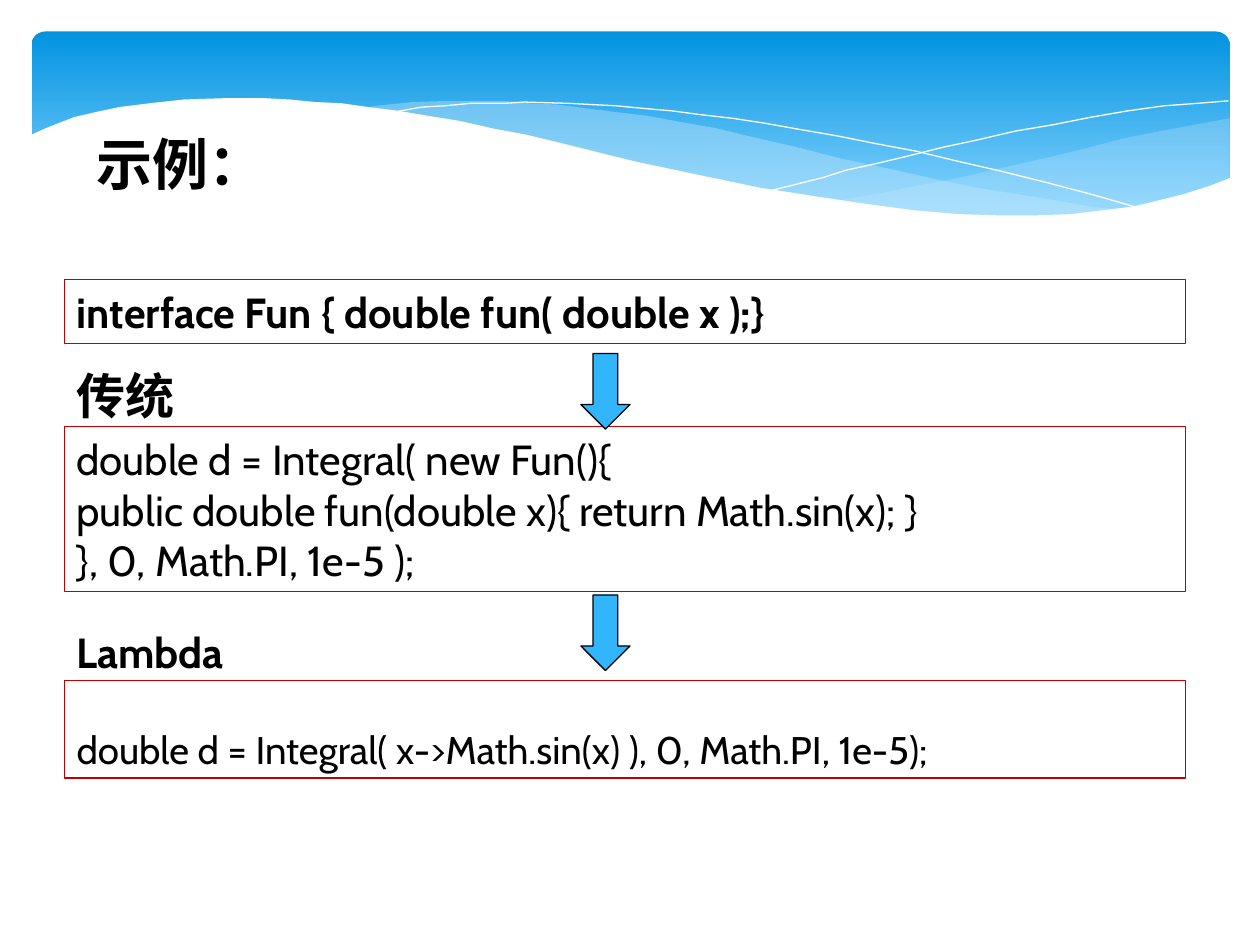
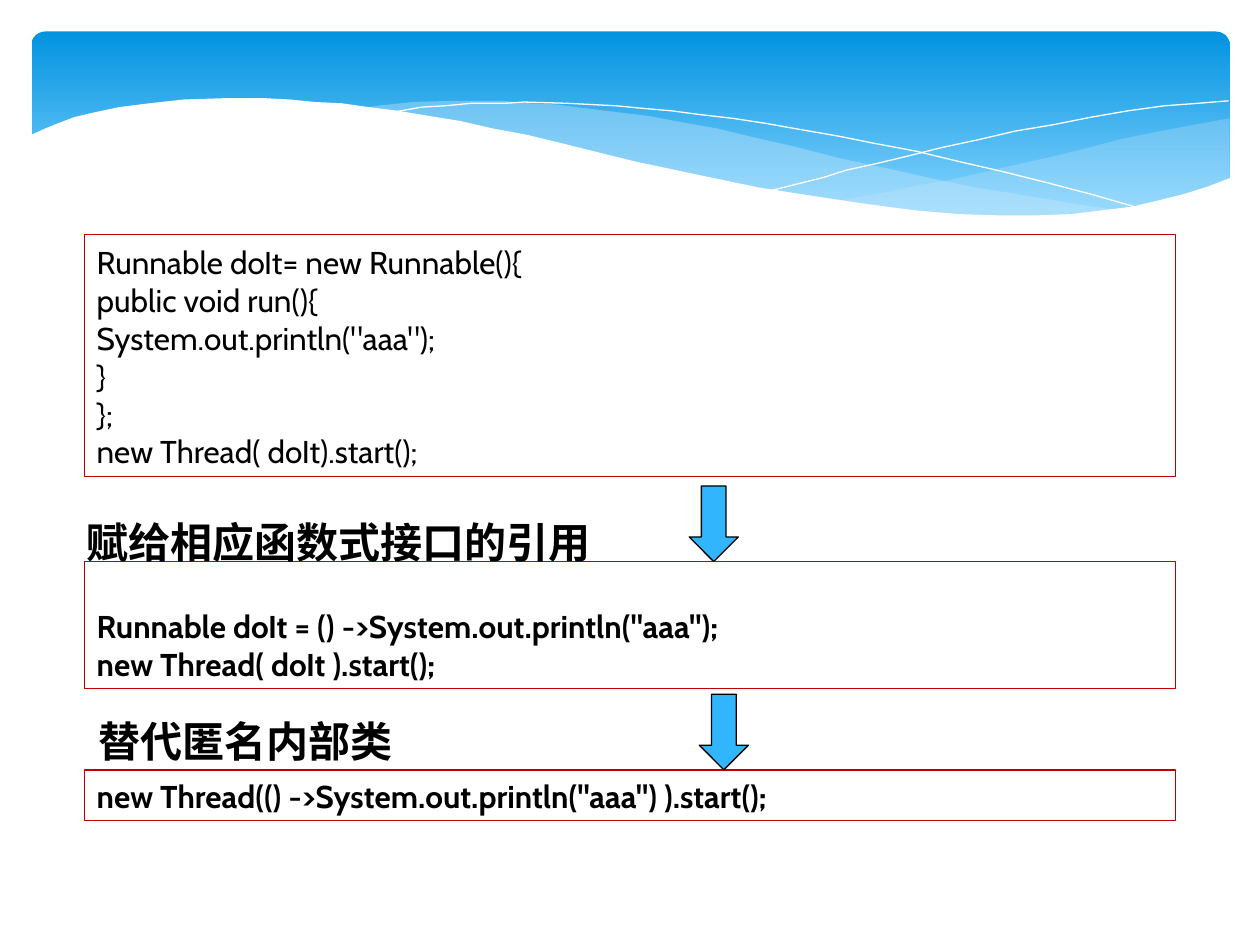
from dataclasses import dataclass

from lxml import etree
from pptx import Presentation
from pptx import util as u
from pptx.dml.color import RGBColor
from pptx.enum import shapes, text
from pptx.oxml import ns

Pt = u.Pt


@dataclass(frozen=True)
class Theme:
    font: str = "Cabin"
    ink: str = "000000"
    white: str = "FFFFFF"
    band_top: str = "0293E0"
    band_bottom: str = "83D3FE"
    wave: str = "C6E7FC"
    arrow: str = "31B6FD"
    frame: str = "C00000"
    title: int = 32
    heading: int = 28
    large: int = 24
    medium: int = 22
    small: int = 18
    line: float = 0.75


THEME = Theme()
CURVE_UNIT = Pt(0.72)

RIGHT_WAVE = [
    (975, 94), (948, 99), (921, 104), (891, 110), (861, 118), (832, 125), (805, 131),
    (779, 137), (753, 143), (729, 147), (706, 152), (683, 156), (661, 160), (691, 164),
    (719, 167), (745, 169), (769, 171), (792, 172), (814, 172), (835, 172), (854, 170),
    (872, 169), (889, 166), (905, 163), (921, 160), (935, 156), (949, 152), (963, 147),
    (976, 141), (976, 94),
]
LONG_WAVE = [
    (893, 167), (866, 164), (837, 159), (807, 154), (775, 149), (741, 142), (706, 134),
    (668, 126), (629, 116), (598, 109), (569, 102), (541, 97), (514, 92), (489, 89),
    (465, 86), (442, 83), (420, 82), (399, 80), (361, 80), (328, 81), (299, 84), (286, 86),
    (323, 90), (362, 97), (404, 106), (449, 116), (491, 126), (530, 135), (566, 143),
    (601, 150), (634, 156), (665, 161), (695, 165), (722, 168), (748, 170), (773, 172),
    (796, 173), (828, 173), (848, 172), (867, 170), (884, 168),
]
FALLING_LINE = [
    (309, 90), (318, 88), (335, 85), (353, 84), (374, 82), (401, 82), (416, 81), (450, 82),
    (489, 84), (510, 86), (533, 88), (556, 91), (582, 94), (608, 98), (636, 103), (665, 108),
    (695, 114), (727, 120), (760, 128), (795, 136), (831, 145), (869, 155), (907, 166),
]
RISING_LINE = [
    (613, 151), (653, 141), (672, 135), (695, 130), (720, 124), (748, 117), (776, 111),
    (806, 104), (836, 99), (866, 93), (895, 88), (924, 84), (951, 82), (975, 80),
]
PAGE_EDGE = [
    (977, 141), (959, 148), (940, 154), (920, 159), (899, 164), (875, 167), (850, 170),
    (823, 171), (793, 171), (761, 170), (726, 167), (688, 162), (648, 156), (603, 149),
    (555, 139), (503, 128), (447, 114), (418, 107), (391, 102), (365, 96), (340, 92),
    (316, 88), (292, 85), (271, 82), (250, 81), (230, 79), (211, 78), (177, 78), (146, 79),
    (119, 82), (95, 85), (76, 89), (59, 93), (46, 98), (36, 102), (25, 107), (23, 107),
    (23, 224), (977, 224),
]


def rgb(value):
    return RGBColor.from_string(value)


def write_text(tf, content, size, bold=False, wrap=True, anchor=text.MSO_ANCHOR.TOP):
    tf.word_wrap = wrap
    tf.vertical_anchor = anchor
    for i, line in enumerate(content.split("\n")):
        p = tf.paragraphs[0] if i == 0 else tf.add_paragraph()
        p.alignment = text.PP_ALIGN.LEFT
        r = p.add_run()
        r.text = line
        r.font.name = THEME.font
        r.font.size = Pt(size)
        r.font.bold = bold
        r.font.color.rgb = rgb(THEME.ink)


class Deck:
    def __init__(self, theme):
        self.theme = theme
        self.prs = Presentation()
        self.prs.slide_width, self.prs.slide_height = Pt(720), Pt(540)
        self.slide = None

    def new_slide(self):
        self.slide = self.prs.slides.add_slide(self.prs.slide_layouts[6])
        self.band()
        self.curve(RIGHT_WAVE, fill=self.theme.wave, alpha=29)
        self.curve(LONG_WAVE, fill=self.theme.wave, alpha=40)
        self.curve(FALLING_LINE)
        self.curve(RISING_LINE)
        self.curve(PAGE_EDGE, fill=self.theme.white)

    def paint(self, sp, fill=None, line=None, width=0):
        sp.shadow.inherit = False
        if fill:
            sp.fill.solid()
            sp.fill.fore_color.rgb = rgb(fill)
        else:
            sp.fill.background()
        if line:
            sp.line.color.rgb = rgb(line)
            sp.line.width = Pt(width)
        else:
            sp.line.fill.background()

    def shape(self, kind, x, y, w, h, **style):
        sp = self.slide.shapes.add_shape(kind, Pt(x), Pt(y), Pt(w), Pt(h))
        self.paint(sp, **style)
        return sp

    def band(self):
        sp = self.shape(shapes.MSO_SHAPE.ROUNDED_RECTANGLE, 18, 18, 684.7, 112.3)
        sp.adjustments[0] = 0.07
        sp.fill.gradient()
        sp.fill.gradient_angle = 270
        colors = (self.theme.band_top, self.theme.band_bottom)
        for stop, color, position in zip(sp.fill.gradient_stops, colors, (0, 0.9)):
            stop.color.rgb = rgb(color)
            stop.position = position

    def curve(self, points, fill=None, alpha=None):
        builder = self.slide.shapes.build_freeform(*points[0], scale=CURVE_UNIT)
        builder.add_line_segments(points[1:], close=bool(fill))
        sp = builder.convert_to_shape()
        self.paint(sp, fill=fill, line=None if fill else self.theme.white)
        if alpha:
            color = sp.fill._xPr.find(".//" + ns.qn("a:srgbClr"))
            etree.SubElement(color, ns.qn("a:alpha"), val=str(alpha * 1000))

    def label(self, content, x, y, w, h, size, wrap=False):
        sp = self.slide.shapes.add_textbox(Pt(x), Pt(y), Pt(w), Pt(h))
        write_text(sp.text_frame, content, size, bold=True, wrap=wrap)

    def code(self, content, x, y, w, h, size, bold=False):
        sp = self.shape(shapes.MSO_SHAPE.RECTANGLE, x, y, w, h,
                        line=self.theme.frame, width=self.theme.line)
        write_text(sp.text_frame, content, size, bold=bold, anchor=text.MSO_ANCHOR.BOTTOM)

    def arrow(self, x, y):
        self.shape(shapes.MSO_SHAPE.DOWN_ARROW, x, y, 28.1, 43.2, fill=self.theme.arrow,
                   line=self.theme.ink, width=self.theme.line)


def integral_slide(deck):
    t = deck.theme
    left, width = 36.7, 640.8
    deck.new_slide()
    deck.label("示例：", 48.2, 70.6, 360, 46, t.title, wrap=True)
    deck.code("interface Fun { double fun( double x );}", left, 159.8, width, 36.4,
              t.large, bold=True)
    deck.code("double d = Integral( new Fun(){\n"
              "public double fun(double x){ return Math.sin(x); }\n"
              "}, 0, Math.PI, 1e-5 );", left, 243.6, width, 94.3, t.large)
    deck.code("double d = Integral( x->Math.sin(x) ), 0, Math.PI, 1e-5);",
              left, 388.8, width, 55.8, t.medium)
    for y in (202, 340):
        deck.arrow(331.9, y)
    deck.label("传统", left, 205.2, 71.3, 41, t.heading)
    deck.label("Lambda", left, 354.6, 121.7, 36, t.large)


def runnable_slide(deck):
    t = deck.theme
    left, width = 48.2, 623.5
    deck.new_slide()
    deck.code("Runnable doIt= new Runnable(){\n"
              "public void run(){\n"
              "System.out.println(\"aaa\");\n"
              "}\n"
              "};\n"
              "new Thread( doIt).start();", left, 133.9, width, 138.4, t.small)
    deck.code("Runnable doIt = () ->System.out.println(\"aaa\");\n"
              "new Thread( doIt ).start();", left, 320.8, width, 72.7, t.small, bold=True)
    deck.code("new Thread(() ->System.out.println(\"aaa\") ).start();",
              left, 440, width, 29, t.small, bold=True)
    deck.arrow(393.8, 277.7)
    deck.arrow(399.6, 396.7)
    deck.label("赋给相应函数式接口的引用", 42.5, 291.6, 305.3, 36, t.large)
    deck.label("替代匿名内部类", 49, 405.4, 184.3, 36, t.large)


def main():
    deck = Deck(THEME)
    integral_slide(deck)
    runnable_slide(deck)
    deck.prs.save("out.pptx")


if __name__ == "__main__":
    main()
